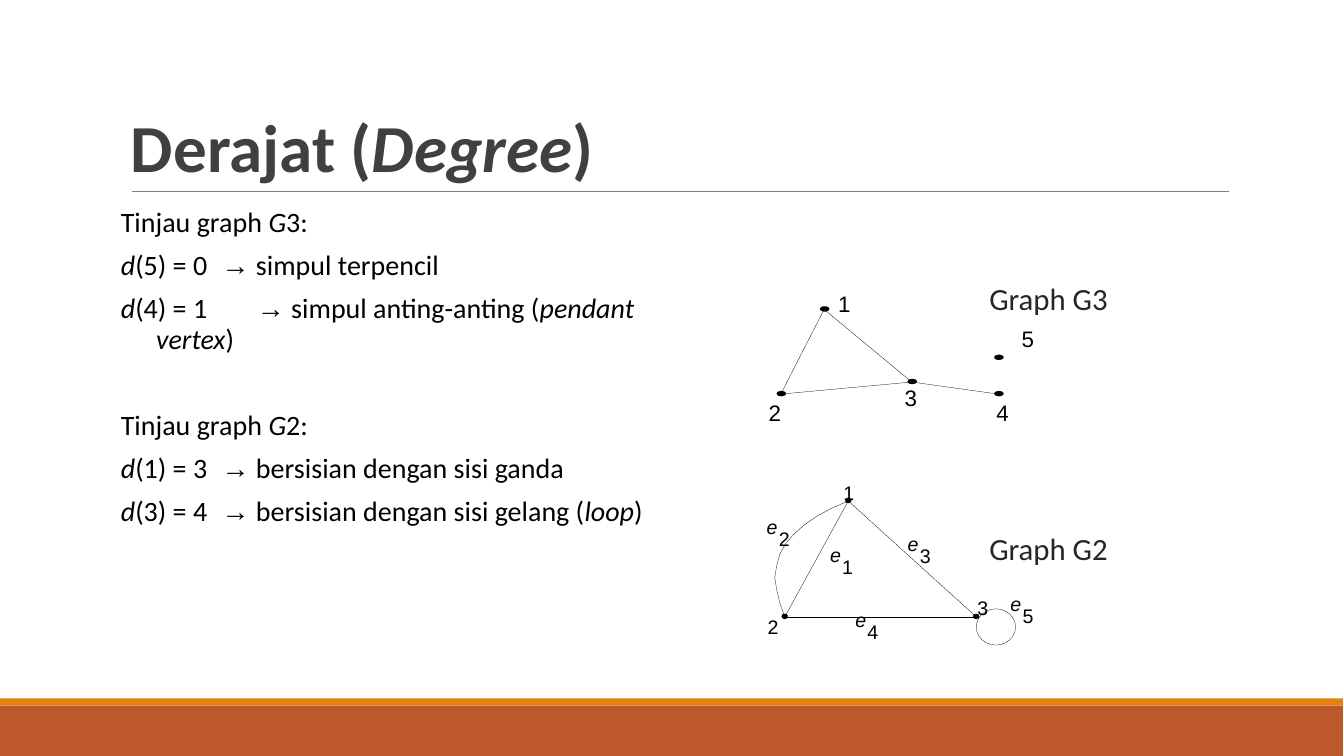
from itertools import groupby

from lxml import etree
from pptx import Presentation
from pptx import util as u
from pptx.dml.color import RGBColor
from pptx.enum import shapes, text
from pptx.oxml.ns import qn

PX = 9144  # EMU in one px, 100 px to the inch


def px(*lengths):
    return [u.Emu(length * PX) for length in lengths]


def rgb(code):
    return RGBColor.from_string(code)


def set_all(target, values):
    for name, value in values.items():
        setattr(target, name, value)


class GraphSlide:
    BLACK = "000000"
    THIN = 0.2

    def __init__(self, slide):
        self.slide = slide
        self.shapes = slide.shapes

    def add_runs(self, paragraph, content, size, color=BLACK, font="Calibri", bold=False):
        """Asterisks enclose italics, and arrows are set in Arial."""
        for index, part in enumerate(content.split("*")):
            for is_arrow, chars in groupby(part, key=lambda char: char == "→"):
                run = paragraph.add_run()
                run.text = "".join(chars)
                set_all(run.font, {"size": u.Pt(size), "bold": bold, "italic": index % 2 == 1,
                                   "name": "Arial" if is_arrow else font})
                run.font.color.rgb = rgb(color)

    def frame(self, shape, wrap=True, side=0, edge=5, anchor=text.MSO_ANCHOR.TOP):
        side, edge = px(side, edge)
        set_all(shape.text_frame, {"word_wrap": wrap, "auto_size": text.MSO_AUTO_SIZE.NONE,
                                   "vertical_anchor": anchor,
                                   "margin_left": side, "margin_right": side,
                                   "margin_top": edge, "margin_bottom": edge})
        return shape.text_frame

    def title(self, box, content):
        heading = self.shapes.title
        set_all(heading, dict(zip(("left", "top", "width", "height"), px(*box))))
        paragraph = self.frame(heading, side=10, anchor=text.MSO_ANCHOR.BOTTOM).paragraphs[0]
        set_all(paragraph, {"alignment": text.PP_ALIGN.LEFT, "line_spacing": 0.85,
                            "space_before": u.Pt(0)})
        self.add_runs(paragraph, content, 48, "404040", bold=True)

    def body(self, box, lines, size, color=BLACK):
        """Each line is (content, points before, left margin, first indent, tab stops)."""
        text_frame = self.frame(self.shapes.add_textbox(*px(*box)))
        for index, (content, before, margin, indent, tabs) in enumerate(lines):
            paragraph = text_frame.add_paragraph() if index else text_frame.paragraphs[0]
            set_all(paragraph, {"line_spacing": 0.9, "space_before": u.Pt(before)})
            properties = paragraph._p.get_or_add_pPr()
            properties.set("marL", str(margin * PX))
            properties.set("indent", str(indent * PX))
            if tabs:
                stops = etree.SubElement(properties, qn("a:tabLst"))
                for tab in tabs:
                    etree.SubElement(stops, qn("a:tab"), pos=str(tab * PX), algn="l")
            self.add_runs(paragraph, content, size, color)

    def label(self, left, top, content, size):
        box = self.shapes.add_textbox(*px(left, top, 12, 27 if size == 16 else 23))
        text_frame = self.frame(box, wrap=False, edge=0)
        self.add_runs(text_frame.paragraphs[0], content, size, font="Arial")

    def edge_label(self, left, top, number):
        self.label(left, top, "*e*", 14)
        self.label(left + 12, top + 12, str(number), 14)

    def outline(self, shape, fill=None, line=None):
        shape.shadow.inherit = False
        if fill:
            shape.fill.solid()
            shape.fill.fore_color.rgb = rgb(fill)
        else:
            shape.fill.background()
        if line:
            shape.line.color.rgb = rgb(line)
            shape.line.width = u.Pt(self.THIN)
        else:
            shape.line.fill.background()

    def bar(self, box, fill):
        self.outline(self.shapes.add_shape(shapes.MSO_SHAPE.RECTANGLE, *px(*box)), fill)

    def oval(self, box, fill):
        self.outline(self.shapes.add_shape(shapes.MSO_SHAPE.OVAL, *px(*box)), fill, self.BLACK)

    def line(self, start, end, color=BLACK, width=THIN):
        connector = self.shapes.add_connector(shapes.MSO_CONNECTOR.STRAIGHT, *px(*start, *end))
        connector.line.color.rgb = rgb(color)
        connector.line.width = u.Pt(width)
        etree.SubElement(connector._element.spPr, qn("a:effectLst"))

    def curve(self, points):
        builder = self.shapes.build_freeform(*points[0], scale=PX)
        builder.add_line_segments(points[1:], close=False)
        self.outline(builder.convert_to_shape(), line=self.BLACK)

    def graph(self, vertices, edges, dot_width, size):
        """Vertices map a number to (centre, label position)."""
        for (x, y), _ in vertices.values():
            self.oval((x - dot_width // 2, y - 3, dot_width, 5), self.BLACK)
        for start, end in edges:
            self.line(vertices[start][0], vertices[end][0])
        for number, (_, place) in vertices.items():
            self.label(*place, str(number), size)


G3_VERTICES = {1: ((818, 307), (832, 288)), 2: ((775, 391), (763, 396)),
               3: ((905, 379), (898, 381)), 4: ((991, 391), (989, 396)),
               5: ((991, 355), (1014, 323))}
G2_VERTICES = {1: ((842, 497), (837, 477)), 2: ((779, 612), (762, 610)),
               3: ((969, 612), (970, 591))}
G2_EDGE_LABELS = [(824, 539), (761, 511), (901, 528), (849, 603), (1003, 587)]
G2_DOUBLE_EDGE = [(842, 497), (826, 504), (811, 512), (798, 521), (788, 530), (780, 539),
                  (774, 550), (771, 561), (769, 573), (771, 585), (774, 598), (779, 612)]
HANG = 35
DEGREES = [
    ("Tinjau graph *G*3:", 9.2, 0, 0, []),
    ("*d*(5) = 0\t→ simpul terpencil", 9.2, 0, 0, [115]),
    ("*d*(4) = 1\t→ simpul anting-anting (*pendant vertex*)", 9.2, HANG, -HANG,
     [115 - HANG, 115]),
    ("Tinjau graph *G*2:", 40, 0, 0, []),
    ("*d*(1) = 3\t→ bersisian dengan sisi ganda", 9.2, 0, 0, [122]),
    ("*d*(3) = 4\t→ bersisian dengan sisi gelang (*loop*)", 9.2, 0, 0, [122]),
]
CAPTIONS = [("Graph G3", 0, 10, 0, []), ("Graph G2", 154.5, 10, 0, [])]


def main():
    deck = Presentation()
    deck.slide_width, deck.slide_height = px(1334, 750)
    page = GraphSlide(deck.slides.add_slide(deck.slide_layouts[5]))

    page.bar((0, 700, 1333, 50), "BD582C")
    page.bar((0, 693, 1333, 7), "E48312")
    page.line((131, 190), (1220, 190), "7F7F7F", 0.5)
    page.title((120, 31, 1100, 159), "Derajat (*Degree*)")
    page.body((120, 202, 540, 440), DEGREES, 20)
    page.body((972, 277, 300, 400), CAPTIONS, 22, "262626")

    page.graph(G3_VERTICES, [(1, 2), (3, 4), (2, 3), (1, 3)], 9, 16)
    page.curve(G2_DOUBLE_EDGE)
    page.oval((969, 604, 39, 36), "FFFFFF")
    page.graph(G2_VERTICES, [(1, 2), (1, 3), (2, 3)], 6, 14)
    for number, place in enumerate(G2_EDGE_LABELS, 1):
        page.edge_label(*place, number)

    deck.save("out.pptx")


if __name__ == "__main__":
    main()
